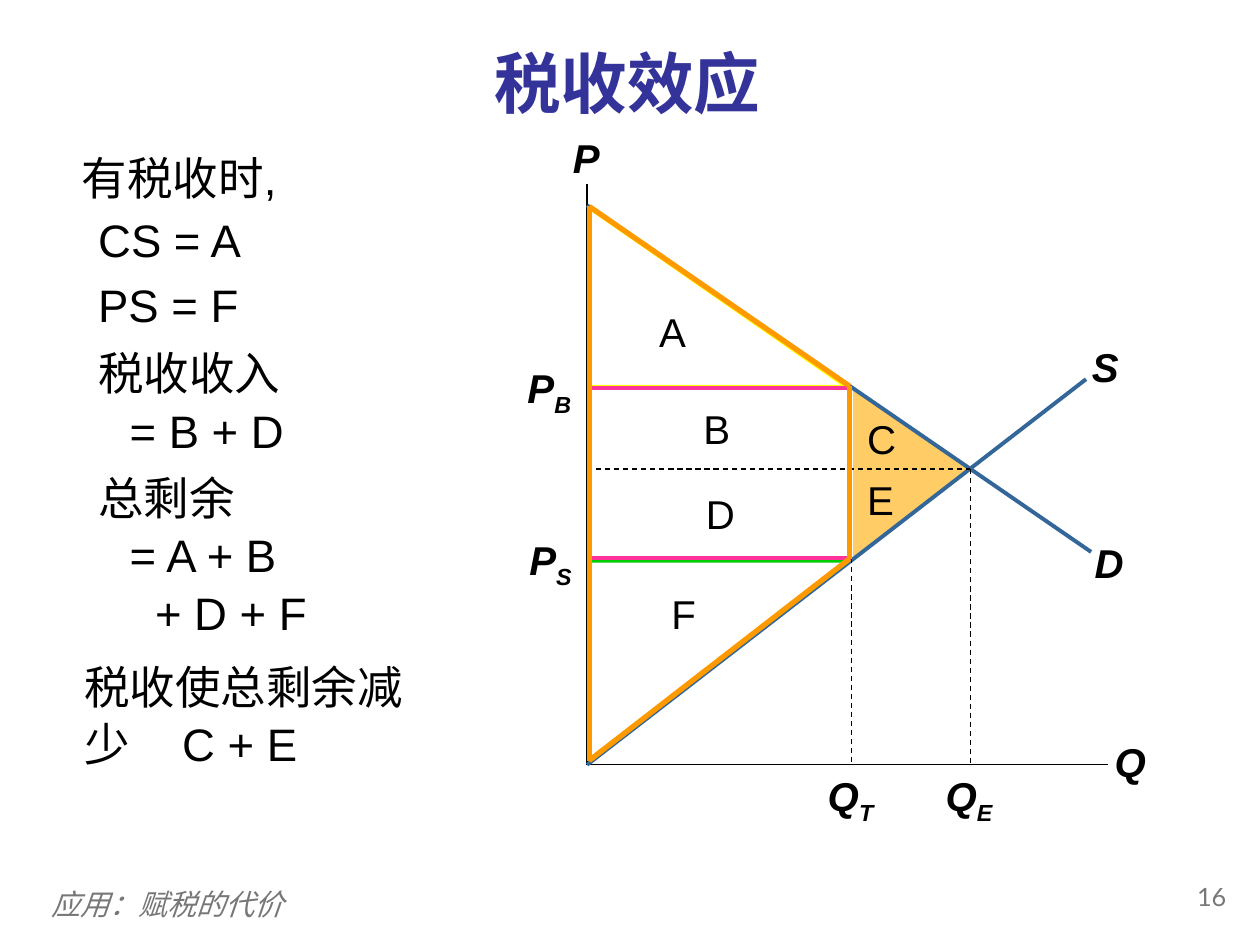
from pptx import Presentation
from pptx.dml.color import RGBColor
from pptx.enum.dml import MSO_LINE
from pptx.enum.shapes import MSO_CONNECTOR, MSO_SHAPE
from pptx.enum.text import MSO_ANCHOR, MSO_AUTO_SIZE, PP_ALIGN
from pptx.oxml.ns import qn
from pptx.util import Pt
from lxml.etree import SubElement

BLACK = RGBColor(0x00, 0x00, 0x00)
GRAY = RGBColor(0x77, 0x77, 0x77)
INDIGO = RGBColor(0x33, 0x33, 0x99)
CURVE_BLUE = RGBColor(0x33, 0x66, 0x99)
LOSS_YELLOW = RGBColor(0xFF, 0xCC, 0x66)
BUYER_YELLOW = RGBColor(0xFF, 0xFF, 0x00)
SELLER_GREEN = RGBColor(0x00, 0xCC, 0x00)
TAX_PINK = RGBColor(0xFF, 0x33, 0x99)
SURPLUS_ORANGE = RGBColor(0xFF, 0x99, 0x00)

# Key positions of the diagram, in points
AXIS_X, TAX_X, EQUILIBRIUM_X = 335.5, 486.5, 554.4
BUYER_Y, EQUILIBRIUM_Y, SELLER_Y, BASE_Y = 221, 268, 319.7, 437


def format_run(run, size, color=BLACK, name="Arial", bold=False, italic=False):
    font = run.font
    font.name, font.size = name, Pt(size)
    font.bold, font.italic = bold, italic
    font.color.rgb = color


def add_text_box(slide, left, top, width, height):
    frame = slide.shapes.add_textbox(Pt(left), Pt(top), Pt(width), Pt(height)).text_frame
    frame.word_wrap = True
    return frame


def add_title(slide, text):
    title = slide.shapes.title
    title.left, title.top, title.width, title.height = Pt(27.4), Pt(20.2), Pt(662.4), Pt(53.3)
    frame = title.text_frame
    frame.text = text
    frame.auto_size = MSO_AUTO_SIZE.NONE
    frame.vertical_anchor = MSO_ANCHOR.MIDDLE
    paragraph = frame.paragraphs[0]
    paragraph.alignment = PP_ALIGN.CENTER
    format_run(paragraph.runs[0], 38, INDIGO, "Cambria", bold=True)


def add_note(slide, left, top, width, height, lines, tab_stop=None):
    """Add body text; lines are pairs of text and left indent."""
    frame = add_text_box(slide, left, top, width, height)
    frame.text = "\n".join(text for text, _ in lines)
    for paragraph, (_, indent) in zip(frame.paragraphs, lines):
        paragraph.line_spacing = 1.05
        properties = paragraph._p.get_or_add_pPr()
        properties.set("marL", str(Pt(indent)))
        if tab_stop:
            tabs = SubElement(properties, qn("a:tabLst"))
            SubElement(tabs, qn("a:tab"), pos=str(Pt(tab_stop)), algn="l")
        for run in paragraph.runs:
            format_run(run, 26)


def add_label(slide, center, top, text, subscript="", width=29, strong=True):
    frame = add_text_box(slide, center - width / 2, top, width, 39 if subscript else 35)
    paragraph = frame.paragraphs[0]
    paragraph.alignment = PP_ALIGN.CENTER
    for part in filter(None, (text, subscript)):
        run = paragraph.add_run()
        run.text = part
        format_run(run, 23, bold=strong, italic=strong)
    if subscript:
        run._r.get_or_add_rPr().set("baseline", "-25000")


def add_line(slide, start, end, color=BLACK, weight=0.75, dashed=False):
    line = slide.shapes.add_connector(
        MSO_CONNECTOR.STRAIGHT, *(Pt(value) for value in (*start, *end)))
    line.line.color.rgb = color
    line.line.width = Pt(weight)
    if dashed:
        line.line.dash_style = MSO_LINE.DASH
    SubElement(line._element.spPr, qn("a:effectLst"))


def add_area(slide, kind, left, top, width, height, fill=None, outline=None):
    shape = slide.shapes.add_shape(kind, Pt(left), Pt(top), Pt(width), Pt(height))
    shape.shadow.inherit = False
    if fill:
        shape.fill.solid()
        shape.fill.fore_color.rgb = fill
    else:
        shape.fill.background()
    if outline:
        shape.line.color.rgb = outline
        shape.line.width = Pt(2.25)
    else:
        shape.line.fill.background()
    return shape


def add_footer(slide, left, top, width, text, size, name, align, italic=False):
    frame = add_text_box(slide, left, top, width, 28.8)
    frame.text = text
    paragraph = frame.paragraphs[0]
    paragraph.alignment = align
    paragraph.line_spacing = 0.9
    format_run(paragraph.runs[0], size, GRAY, name, italic=italic)
    return frame


def add_diagram(slide):
    loss = add_area(slide, MSO_SHAPE.ISOSCELES_TRIANGLE, 472.3, 237.6, 95.8, 65.5, LOSS_YELLOW)
    loss.adjustments[0] = 0.476
    loss.rotation = 90

    origin = (AXIS_X, BASE_Y)
    add_line(slide, (AXIS_X, 105), origin)
    add_line(slide, origin, (633, BASE_Y))
    add_line(slide, (AXIS_X, 117.4), (623.5, 315.4), CURVE_BLUE, 2.25)
    add_line(slide, origin, (620.6, 216.7), CURVE_BLUE, 2.25)
    for x, y in ((TAX_X, BUYER_Y), (EQUILIBRIUM_X, EQUILIBRIUM_Y)):
        add_line(slide, (x, y), (x, BASE_Y), dashed=True)
        add_line(slide, (AXIS_X, y), (x, y), dashed=True)
    add_line(slide, (AXIS_X, SELLER_Y), (TAX_X, SELLER_Y), dashed=True)

    for center, top, text, subscript, width in (
            (334.8, 72.7, "P", "", 29), (644.4, 417.6, "Q", "", 29),
            (632.9, 303.8, "D", "", 29), (631.4, 192.2, "S", "", 29),
            (314.6, 302.4, "P", "S", 42), (313.9, 203.8, "P", "B", 42),
            (553.7, BASE_Y, "Q", "E", 46), (486, BASE_Y, "Q", "T", 46)):
        add_label(slide, center, top, text, subscript, width)
    for center, top, text in (
            (384.1, 172.1, "A"), (409.3, 227.5, "B"), (502.9, 233.3, "C"),
            (410.8, 275.8, "D"), (502.9, 267.8, "E"), (390.6, 333.4, "F")):
        add_label(slide, center, top, text, strong=False)

    add_area(slide, MSO_SHAPE.RIGHT_TRIANGLE, 337, 118.8, 146.9, 102.2, outline=BUYER_YELLOW)
    seller = add_area(slide, MSO_SHAPE.RIGHT_TRIANGLE, 337, 320.4, 147.6, 113.8,
                      outline=SELLER_GREEN)
    seller._element.spPr.get_or_add_xfrm().set("flipV", "1")
    add_area(slide, MSO_SHAPE.RECTANGLE, 337, 221.8, 149, 97.2, outline=TAX_PINK)

    corners = [(336.7, 118), (336.7, 434.6), (485.5, 319.3), (485.5, 220.7)]
    for start, end in zip(corners, corners[1:] + corners[:1]):
        add_line(slide, start, end, SURPLUS_ORANGE, 3)


def main():
    presentation = Presentation()
    presentation.slide_width, presentation.slide_height = Pt(720), Pt(540)
    slide = presentation.slides.add_slide(presentation.slide_layouts[5])

    add_title(slide, "税收效应")
    add_diagram(slide)
    add_note(slide, 39.6, 80.6, 177, 42.5, [("有税收时,", 0)])
    add_note(slide, 49, 115.9, 203, 42.5, [("CS = A", 0)])
    add_note(slide, 49, 153.4, 203, 42.5, [("PS = F", 0)])
    add_note(slide, 49, 192.2, 214, 77.8, [("税收收入", 0), ("= B + D", 18)])
    add_note(slide, 49, 263.5, 207, 107.3,
             [("总剩余", 0), ("= A + B", 18), ("+ D + F", 32.5)])
    add_note(slide, 41, 371.5, 207, 103.7, [("税收使总剩余减少\tC + E", 0)], tab_stop=56)

    footer = add_footer(slide, 22.3, 503.3, 577.4, "应用：赋税的代价", 16.6, "Arial",
                        PP_ALIGN.LEFT, italic=True)
    footer.vertical_anchor = MSO_ANCHOR.MIDDLE
    add_footer(slide, 653.8, 501.8, 54, "16", 14.4, "Lato", PP_ALIGN.RIGHT)
    presentation.save("out.pptx")


if __name__ == "__main__":
    main()
